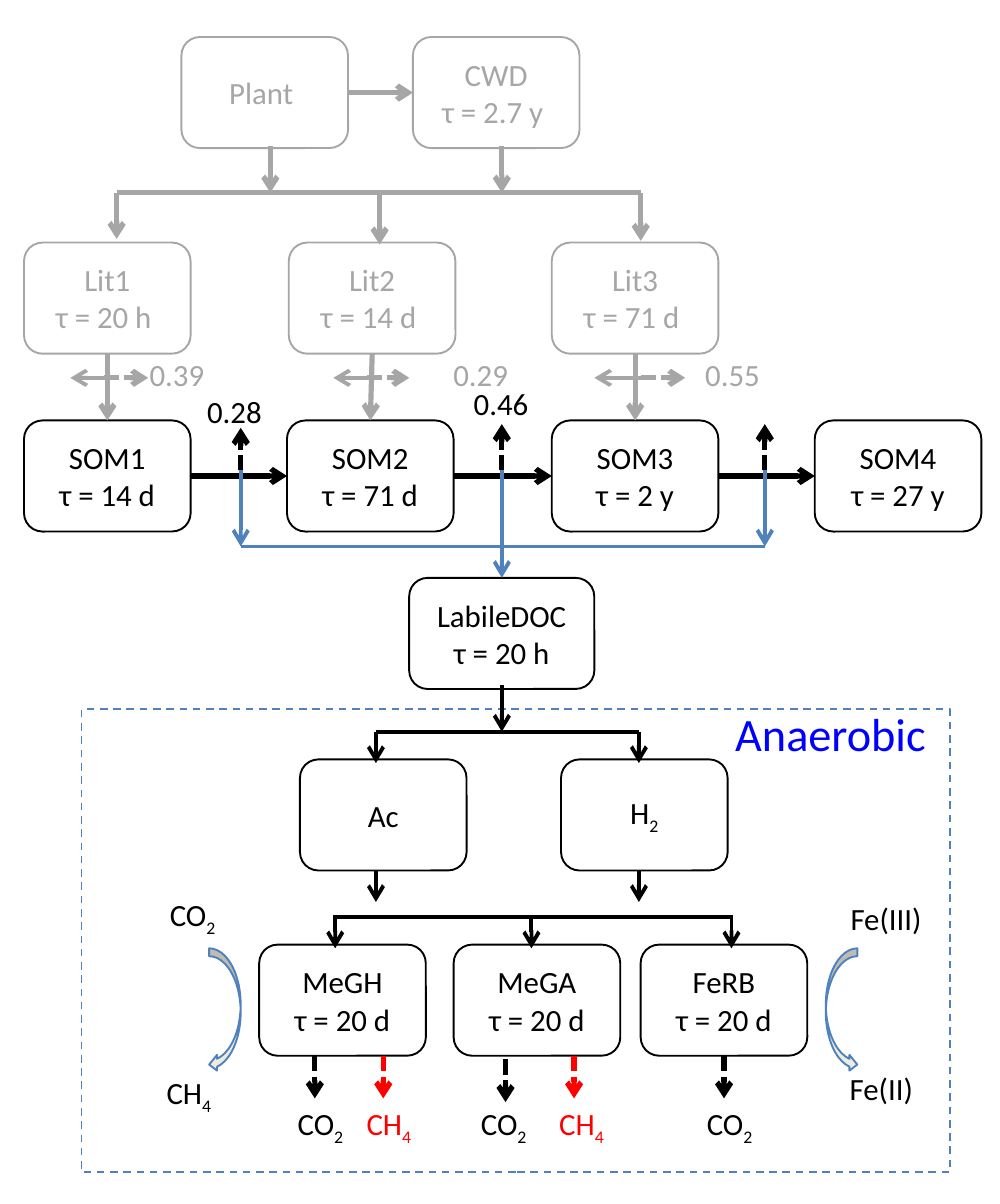
from dataclasses import dataclass
from itertools import pairwise
from typing import Optional

from lxml.etree import SubElement
from pptx import Presentation
from pptx.dml.color import RGBColor
from pptx.enum.dml import MSO_LINE
from pptx.enum.shapes import MSO_CONNECTOR, MSO_SHAPE
from pptx.enum.text import MSO_ANCHOR, MSO_AUTO_SIZE, PP_ALIGN
from pptx.oxml.ns import qn
from pptx.shapes.autoshape import Shape
from pptx.slide import Slide
from pptx.util import Inches, Pt

BLACK = RGBColor(0x00, 0x00, 0x00)
GREY = RGBColor(0xA6, 0xA6, 0xA6)
BLUE = RGBColor(0x4F, 0x81, 0xBD)
VIVID = RGBColor(0x00, 0x00, 0xFF)
RED = RGBColor(0xFF, 0x00, 0x00)
CREAM = RGBColor(0xEE, 0xEC, 0xE1)

WIDTH, HEIGHT = Inches(5.4), Inches(6.5)
COL, ROW = WIDTH // 54, HEIGHT // 65
FONT = "Calibri"
POOL, TALL = 9, 6


@dataclass(frozen=True)
class Box:
    text: str
    col: float
    row: float
    tone: RGBColor = BLACK
    wide: float = POOL


@dataclass(frozen=True)
class Label:
    text: str
    col: float
    row: float
    wide: float = 5.2
    tone: RGBColor = BLACK
    sub: str = ""
    size: float = 12
    mid: bool = True


@dataclass(frozen=True)
class Pen:
    tone: RGBColor
    weight: float = 2
    dash: Optional[MSO_LINE] = None
    head: bool = True


@dataclass(frozen=True)
class Flow:
    pen: Pen
    start: tuple[float, float]
    end: tuple[float, float]


def across(pen: Pen, row: float, left: float, right: float) -> Flow:
    """Return a level flow."""
    return Flow(pen, (left, row), (right, row))


def down(pen: Pen, col: float, top: float, base: float) -> Flow:
    """Return an upright flow."""
    return Flow(pen, (col, top), (col, base))


FADE, FADE_BAR = Pen(GREY), Pen(GREY, head=False)
FADE_THIN, FADE_DASH = Pen(GREY, 1.5), Pen(GREY, dash=MSO_LINE.SQUARE_DOT)
DARK, DARK_DASH = Pen(BLACK), Pen(BLACK, dash=MSO_LINE.SQUARE_DOT)
THIN, THIN_BAR = Pen(BLACK, 1.5), Pen(BLACK, 1.5, head=False)
RED_DASH = Pen(RED, dash=MSO_LINE.SQUARE_DOT)
LEACH, LEACH_BAR = Pen(BLUE, 1.5), Pen(BLUE, 1, head=False)

SOILS = [
    Box(f"SOM{n}\nτ = {age}", col, 22.7)
    for n, (age, col) in enumerate(
        [("14 d", 1.3), ("71 d", 15.5), ("2 y", 29.8), ("27 y", 44)], 1)
]
BOXES = [
    Box("Plant ", 9.8, 2, GREY),
    Box("CWD\nτ = 2.7 y ", 22.3, 2, GREY),
    *(Box(f"Lit{n}\nτ = {age} ", col, 13.1, GREY) for n, (age, col) in enumerate(
        [("20 h", 1.3), ("14 d", 15.6), ("71 d", 29.8)], 1)),
    *SOILS,
    Box("LabileDOC τ = 20 h", 22.1, 31.2, wide=10),
    Box("Ac", 16.2, 41),
    Box("H", 30.3, 41),
    *(Box(f"{name}\nτ = 20 d", col, 51)
      for name, col in [("MeGH", 14), ("MeGA", 24.5), ("FeRB", 34.6)]),
]

FLOWS = [
    across(FADE, 5, 18.8, 22.3),
    *(down(FADE, col, 7.9, 10.4) for col in (14.6, 27.1)),
    across(FADE_BAR, 10.4, 6.3, 34.6),
    *(down(FADE, col, 10.4, base) for col, base in [(6.3, 12.9), (20.5, 13.2), (34.6, 13)]),
    *(Flow(FADE, (top, 19.1), (base, 22.7))
      for top, base in [(5.8, 5.8), (20.1, 20), (34.3, 34.3)]),
    *(across(FADE_THIN, 20.4, col, col - 2.5) for col in (6.3, 20.5, 34.6)),
    *(across(FADE_DASH, 20.4, *span) for span in [(5.6, 8), (19.8, 22.1), (34.6, 37)]),
    *(across(DARK, 25.7, a.col + POOL, b.col) for a, b in pairwise(SOILS)),
    *(down(DARK_DASH, col, 25.4, tip) for col, tip in [(13, 23.1), (27.1, 22.9), (41.3, 22.9)]),
    *(down(LEACH, col, 25.4, base) for col, base in [(13, 29.5), (27.1, 31.2), (41.3, 29.5)]),
    across(LEACH_BAR, 29.5, 13, 41.3),
    down(THIN, 27.1, 37, 39.5),
    across(THIN_BAR, 39.5, 20.3, 34.5),
    *(down(THIN, col, top, top + 1.7) for col in (20.3, 34.5) for top in (39.5, 47)),
    across(THIN_BAR, 49.5, 18, 39.6),
    *(down(THIN, col, 49.5, 51.2) for col in (18.1, 28.7, 39.5)),
    *(down(DARK_DASH, col, top, top + 2.3) for col, top in [(17, 57), (27.3, 57.2), (39.1, 57)]),
    *(down(RED_DASH, col, 57, 59.3) for col in (20.7, 31)),
]

LABELS = [
    *(Label(share, col, 18.7, 5, GREY, mid=False)
      for share, col in [("0.39", 7.1), ("0.29", 23.5), ("0.55", 37.1)]),
    Label("0.28", 10.2, 20.7, 5.3, mid=False),
    Label("0.46", 24.6, 20.3, 5.3, mid=False),
    Label("Anaerobic", 38.1, 37.9, 13.5, VIVID, size=18),
    Label("Fe(III)", 44.6, 48.3, 6.5),
    Label("Fe(II)", 44.6, 57.5, 6),
    Label("CO", 7.8, 47.9, sub="2"),
    Label("CH", 7.6, 57.5, sub="4"),
    *(Label("CO", col, 59.2, sub="2") for col in (14.7, 24.6, 36.8)),
    *(Label("CH", col, 59.2, tone=RED, sub="4") for col in (18.4, 28.8)),
]


def place(col: float, row: float, wide: float, tall: float) -> tuple[int, int, int, int]:
    """Turn grid columns and rows into slide lengths."""
    return round(col * COL), round(row * ROW), round(wide * COL), round(tall * ROW)


def write(shape: Shape, text: str, tone: RGBColor, size: float = 12,
          sub: str = "", mid: bool = True) -> None:
    """Fill a shape with text and an optional subscript."""
    frame = shape.text_frame
    frame.text = text
    if sub:
        frame.paragraphs[-1].add_run().text = sub
    for line in frame.paragraphs:
        line.alignment = PP_ALIGN.CENTER if mid else PP_ALIGN.LEFT
        for run in line.runs:
            run.font.name, run.font.size = FONT, Pt(size)
            run.font.color.rgb = tone
    if sub:
        list(shape.element.iter(qn("a:rPr")))[-1].set("baseline", "-25000")


def outline(slide: Slide, kind: MSO_SHAPE, area: tuple[float, float, float, float],
            tone: RGBColor, fill: Optional[RGBColor] = None) -> Shape:
    """Draw a thin preset shape without shadow."""
    shape = slide.shapes.add_shape(kind, *place(*area))
    shape.shadow.inherit = False
    shape.line.color.rgb, shape.line.width = tone, Pt(0.75)
    if fill is None:
        shape.fill.background()
    else:
        shape.fill.solid()
        shape.fill.fore_color.rgb = fill
    return shape


def draw_box(slide: Slide, box: Box) -> None:
    """Draw one pool of the model."""
    area = (box.col, box.row, box.wide, TALL)
    shape = outline(slide, MSO_SHAPE.ROUNDED_RECTANGLE, area, box.tone)
    shape.text_frame.word_wrap = True
    shape.text_frame.vertical_anchor = MSO_ANCHOR.MIDDLE
    write(shape, box.text, box.tone, sub="2" if box.text == "H" else "")


def draw_flow(slide: Slide, flow: Flow) -> None:
    """Draw one line or arrow."""
    pen = flow.pen
    ends = [*place(*flow.start, 0, 0)[:2], *place(*flow.end, 0, 0)[:2]]
    link = slide.shapes.add_connector(MSO_CONNECTOR.STRAIGHT, *ends)
    link.line.color.rgb, link.line.width = pen.tone, Pt(pen.weight)
    if pen.dash is not None:
        link.line.dash_style = pen.dash
    props = link.element.spPr
    if pen.head:
        SubElement(props.find(qn("a:ln")), qn("a:tailEnd"), type="arrow")
    SubElement(props, qn("a:effectLst"))


def draw_label(slide: Slide, label: Label) -> None:
    """Draw one free label."""
    tall = 3 if not label.mid else 3.8 if label.size > 12 else 2.9
    shape = slide.shapes.add_textbox(*place(label.col, label.row, label.wide, tall))
    shape.text_frame.word_wrap = False
    shape.text_frame.auto_size = MSO_AUTO_SIZE.SHAPE_TO_FIT_TEXT
    write(shape, label.text, label.tone, label.size, label.sub, label.mid)
    if label.mid:
        shape.text_frame.paragraphs[0].line_spacing = 0.9


def main() -> None:
    """Build the slide and save it."""
    deck = Presentation()
    deck.slide_width, deck.slide_height = WIDTH, HEIGHT
    slide = deck.slides.add_slide(deck.slide_layouts[6])
    zone = outline(slide, MSO_SHAPE.RECTANGLE, (4.4, 38.3, 46.9, 25), BLUE)
    zone.line.dash_style = MSO_LINE.DASH
    for box in BOXES:
        draw_box(slide, box)
    for flow in FLOWS:
        draw_flow(slide, flow)
    for kind, col in [(MSO_SHAPE.CURVED_LEFT_ARROW, 11.3), (MSO_SHAPE.CURVED_RIGHT_ARROW, 44.6)]:
        outline(slide, kind, (col, 51.2, 1.7, 6.7), BLUE, CREAM)
    for label in LABELS:
        draw_label(slide, label)
    deck.save("out.pptx")


if __name__ == "__main__":
    main()
